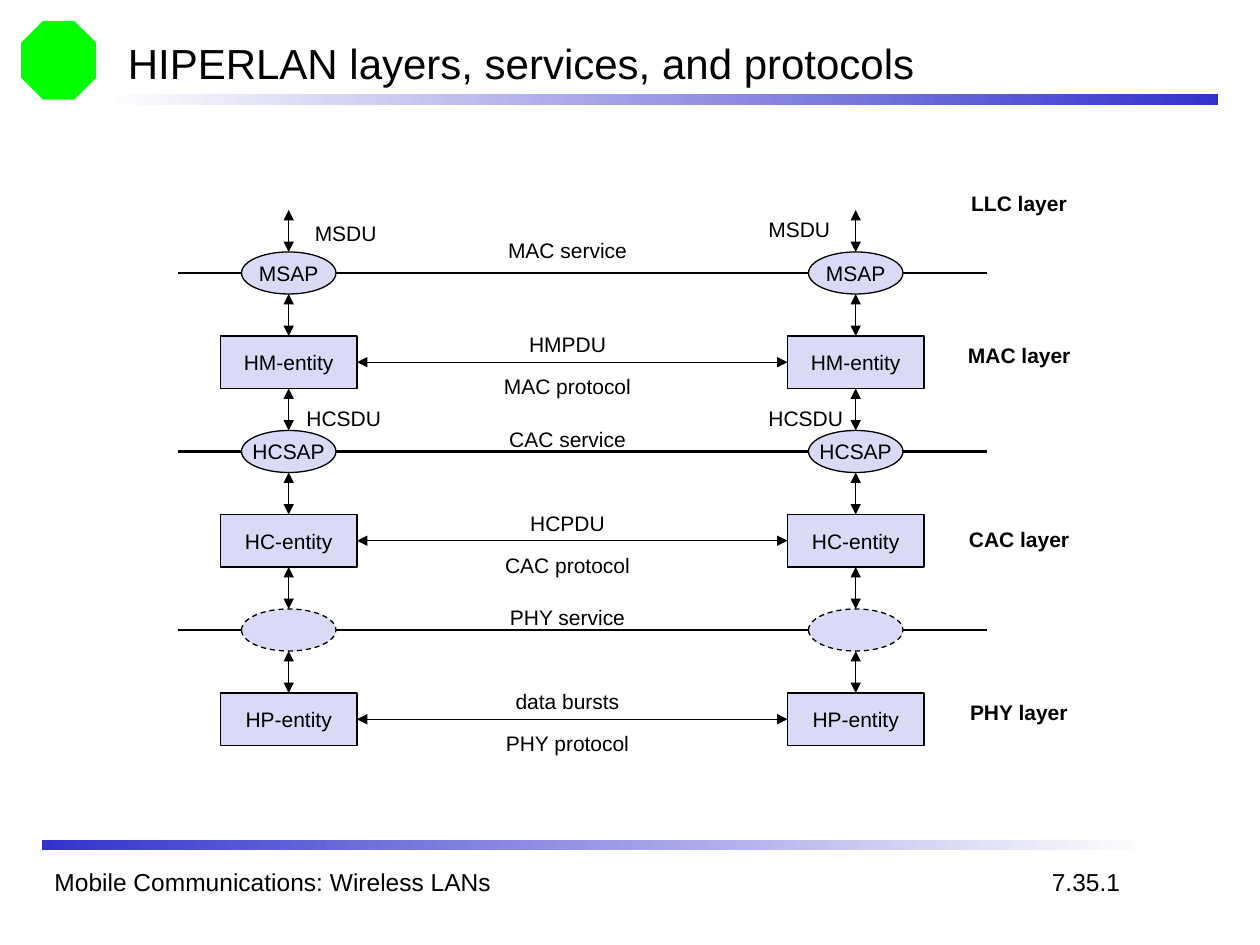
"""Builds the slide on HIPERLAN layers, services and protocols."""
from lxml.etree import SubElement
from pptx import Presentation
from pptx.dml.color import RGBColor
from pptx.enum.dml import MSO_LINE
from pptx.enum.shapes import MSO_CONNECTOR, MSO_SHAPE
from pptx.enum.text import MSO_ANCHOR, PP_ALIGN
from pptx.oxml.ns import qn
from pptx.util import Pt

COLORS = {"ink": "000000", "box": "DADAF6", "bar": "3333CC", "paper": "FFFFFF", "mark": "00FF00"}
RGB = {name: RGBColor.from_string(value) for name, value in COLORS.items()}


def add_text(sp, text, size=12, bold=False, align=PP_ALIGN.LEFT, anchor=MSO_ANCHOR.TOP, wrap=False):
    tf = sp.text_frame
    frame = {"word_wrap": wrap, "vertical_anchor": anchor, "margin_left": Pt(7.2),
             "margin_right": Pt(7.2), "margin_top": Pt(3.6), "margin_bottom": Pt(3.6)}
    for key, value in frame.items():
        setattr(tf, key, value)
    p = tf.paragraphs[0]
    p.alignment = align
    r = p.add_run()
    r.text = text
    for key, value in {"name": "Arial", "size": Pt(size), "bold": bold}.items():
        setattr(r.font, key, value)
    r.font.color.rgb = RGB["ink"]


def add_line(x1, y1, x2, y2, width=0.75, arrows=True):
    sp = s.shapes.add_connector(MSO_CONNECTOR.STRAIGHT, Pt(x1), Pt(y1), Pt(x2), Pt(y2))
    sp.line.width = Pt(width)
    sp.line.color.rgb = RGB["ink"]
    if arrows:
        for end in ("a:headEnd", "a:tailEnd"):
            SubElement(sp.line._get_or_add_ln(), qn(end), type="triangle")
    SubElement(sp._element.spPr, qn("a:effectLst"))


prs = Presentation()
prs.slide_width, prs.slide_height = Pt(720), Pt(540)
s = prs.slides.add_slide(prs.slide_layouts[6])

mark = s.shapes.add_shape(MSO_SHAPE.OCTAGON, Pt(12), Pt(12), Pt(43), Pt(45))
mark.shadow.inherit = False
mark.fill.solid()
mark.fill.fore_color.rgb = RGB["mark"]
mark.line.fill.background()

for left, top, ends in ((60, 54, ("paper", "bar")), (24, 480, ("bar", "paper"))):
    sp = s.shapes.add_shape(MSO_SHAPE.RECTANGLE, Pt(left), Pt(top), Pt(636), Pt(6))
    sp.shadow.inherit = False
    sp.line.fill.background()
    sp.fill.gradient()
    sp.fill.gradient_angle = 0
    for stop, name in zip(sp.fill.gradient_stops, ends):
        stop.color.rgb = RGB[name]

title = s.shapes.add_textbox(Pt(66), Pt(18), Pt(612), Pt(36))
add_text(title, "HIPERLAN layers, services, and protocols", 24, anchor=MSO_ANCHOR.MIDDLE, wrap=True)
footer = s.shapes.add_textbox(Pt(24), Pt(492), Pt(486), Pt(24))
add_text(footer, "Mobile Communications: Wireless LANs", 14, wrap=True)
number = s.shapes.add_textbox(Pt(594), Pt(492), Pt(56), Pt(24))
add_text(number, "7.35.1", 14)

PITCH = 102
CENTERS = (165, 489)
LAYERS = (("MSAP", "HM-entity"), ("HCSAP", "HC-entity"), ("", "HP-entity"))

for i, (sap, entity) in enumerate(LAYERS):
    top = 144 + i * PITCH
    add_line(102, top + 12, 564, top + 12, 1.5, arrows=False)
    add_line(CENTERS[0] + 39, top + 63, CENTERS[1] - 39, top + 63)
    for cx in CENTERS:
        add_line(cx, top - 24, cx, top)
        add_line(cx, top + 24, cx, top + 48)
        for shape, text, y, w, h in ((MSO_SHAPE.OVAL, sap, top, 54, 24),
                                     (MSO_SHAPE.RECTANGLE, entity, top + 48, 78, 30)):
            sp = s.shapes.add_shape(shape, Pt(cx - w / 2), Pt(y), Pt(w), Pt(h))
            sp.shadow.inherit = False
            sp.fill.solid()
            sp.fill.fore_color.rgb = RGB["box"]
            sp.line.color.rgb = RGB["ink"]
            sp.line.width = Pt(0.75)
            if text:
                add_text(sp, text, align=PP_ALIGN.CENTER, anchor=MSO_ANCHOR.MIDDLE)
            else:
                sp.line.dash_style = MSO_LINE.DASH

CENTER_LABELS = (
    ("MAC service", 132, 86), ("HMPDU", 186, 62), ("MAC protocol", 210, 91),
    ("CAC service", 240, 85), ("HCPDU", 288, 61), ("CAC protocol", 312, 90),
    ("PHY service", 342, 84), ("data bursts", 390, 78), ("PHY protocol", 414, 89),
)
for text, top, width in CENTER_LABELS:
    sp = s.shapes.add_textbox(Pt(324.3 - width / 2), Pt(top), Pt(width), Pt(21.6))
    add_text(sp, text, align=PP_ALIGN.CENTER)

SIDE_LABELS = (
    ("MSDU", 172.8, 122.4, 53, False), ("MSDU", 432, 120, 53, False),
    ("HCSDU", 168, 228, 60, False), ("HCSDU", 432, 228, 60, False),
    ("LLC layer", 547.9, 105.2, 72, True), ("MAC layer", 546, 192, 76, True),
    ("CAC layer", 546.6, 297.4, 75, True), ("PHY layer", 547.2, 396, 74, True),
)
for text, left, top, width, bold in SIDE_LABELS:
    sp = s.shapes.add_textbox(Pt(left), Pt(top), Pt(width), Pt(21.6))
    add_text(sp, text, bold=bold)

prs.save("out.pptx")
